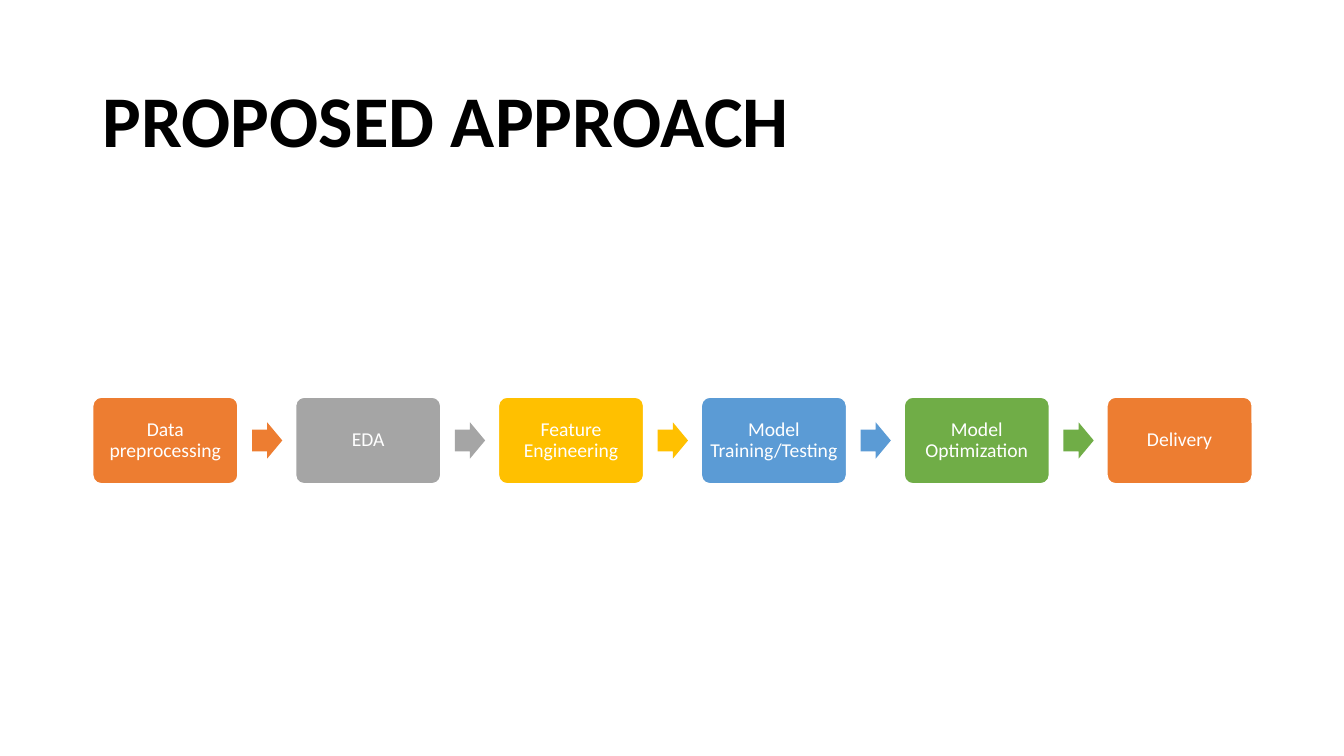
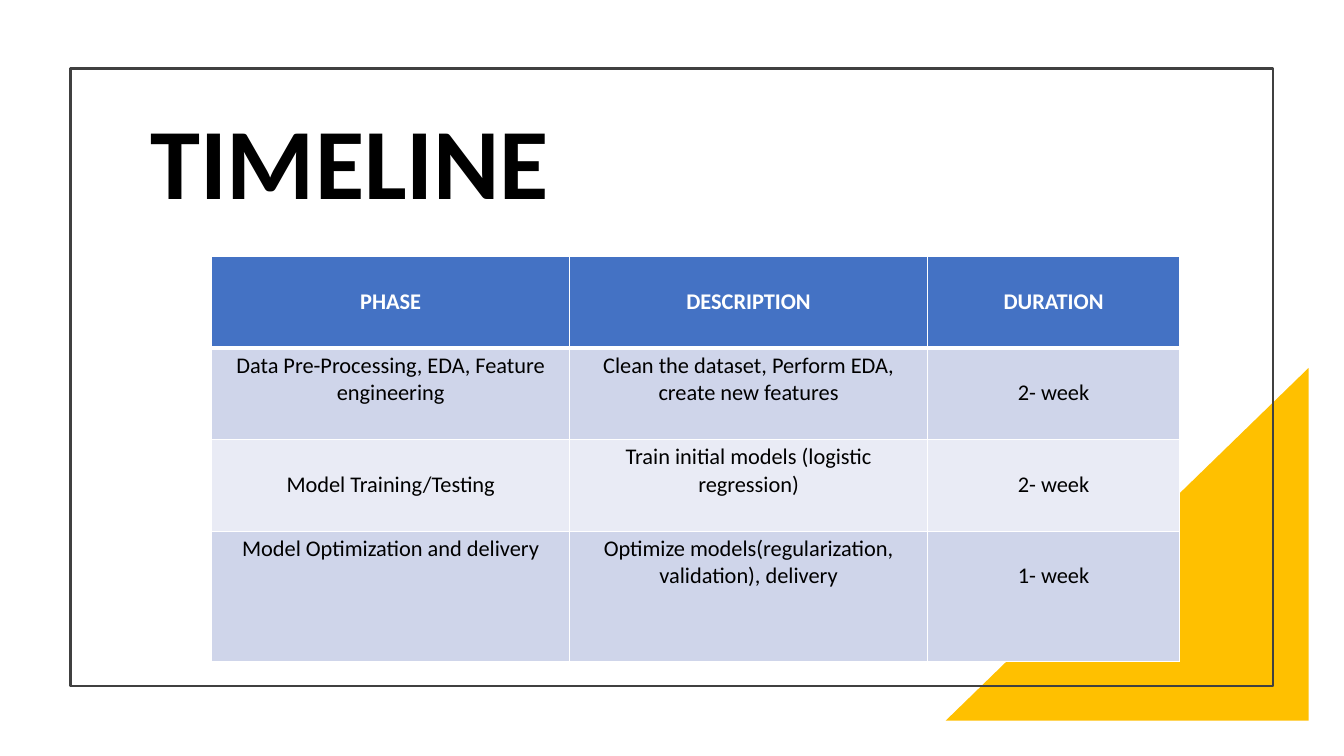
from lxml import etree
from pptx import Presentation
from pptx import util as u
from pptx.dml.color import RGBColor
from pptx.enum import shapes, text
from pptx.oxml.ns import qn

FONT = "Calibri"
WHITE, BLACK, YELLOW = "FFFFFF", "000000", "FFC000"
HEADER_FILL, BAND_FILLS = "4472C4", ("CFD5EA", "E9EBF5")

STEPS = [
    ("Data preprocessing", "ED7D31"),
    ("EDA", "A5A5A5"),
    ("Feature Engineering", YELLOW),
    ("Model Training/Testing", "5B9BD5"),
    ("Model Optimization", "70AD47"),
    ("Delivery", "ED7D31"),
]
HEADERS = ("PHASE", "DESCRIPTION", "DURATION")
PHASES = [
    ("Data Pre-Processing, EDA, Feature engineering",
     "Clean the dataset, Perform EDA, create new features", "2- week"),
    ("Model Training/Testing",
     "Train initial models (logistic regression)", "2- week"),
    ("Model Optimization and delivery",
     "Optimize models(regularization, validation), delivery", "1- week"),
]
LOWERED = {"Model Training/Testing", "2- week", "1- week"}
COL_WIDTHS = (3.55, 3.55, 2.5)
ROW_HEIGHTS = (0.91, 0.91, 0.91, 1.29)
CELL_TOP, LINE_HEIGHT = 0.04, 0.27


def rgb(color):
    return RGBColor.from_string(color)


def write(tf, words, size, color=WHITE, bold=False, align=text.PP_ALIGN.CENTER, spacing=0.9):
    p = tf.paragraphs[0]
    p.alignment = align
    p.line_spacing = spacing
    r = p.add_run()
    r.text = words
    r.font.name = FONT
    r.font.size = u.Pt(size)
    r.font.bold = bold
    r.font.color.rgb = rgb(color)


def new_slide(prs, title, size, box):
    s = prs.slides.add_slide(prs.slide_layouts[5])
    sp = s.shapes.title
    sp.left, sp.top, sp.width, sp.height = map(u.Inches, box)
    tf = sp.text_frame
    tf.word_wrap = True
    tf.auto_size = text.MSO_AUTO_SIZE.NONE
    tf.vertical_anchor = text.MSO_ANCHOR.MIDDLE
    write(tf, title, size, BLACK, bold=True, align=text.PP_ALIGN.LEFT)
    return s


def add_shape(s, kind, box, fill=None, line=None, weight=1):
    sp = s.shapes.add_shape(kind, *map(u.Inches, box))
    sp.shadow.inherit = False
    if fill:
        sp.fill.solid()
        sp.fill.fore_color.rgb = rgb(fill)
    else:
        sp.fill.background()
    if line:
        sp.line.color.rgb = rgb(line)
        sp.line.width = u.Pt(weight)
    else:
        sp.line.fill.background()
    return sp


def set_borders(cell, weights):
    tcPr = cell._tc.get_or_add_tcPr()
    for i, (side, weight) in enumerate(weights.items()):
        ln = etree.Element(qn("a:ln" + side), w=str(u.Pt(weight)))
        fill = etree.SubElement(ln, qn("a:solidFill"))
        etree.SubElement(fill, qn("a:srgbClr"), val=WHITE)
        tcPr.insert(i, ln)


def add_process(s):
    left, top, total, width, height = 0.92, 3.94, 11.5, 1.44, 0.86
    arrow_gap, arrow_w, arrow_h = 0.14, 0.3, 0.36
    pitch = (total - width) / (len(STEPS) - 1)
    for i, (words, color) in enumerate(STEPS):
        x = left + i * pitch
        sp = add_shape(s, shapes.MSO_SHAPE.ROUNDED_RECTANGLE,
                       (x, top, width, height), color, WHITE)
        sp.adjustments[0] = 0.1
        tf = sp.text_frame
        tf.word_wrap = True
        tf.vertical_anchor = text.MSO_ANCHOR.MIDDLE
        tf.margin_left = tf.margin_right = tf.margin_top = tf.margin_bottom = u.Inches(0.06)
        write(tf, words, 14)
        if i < len(STEPS) - 1:
            arrow = add_shape(s, shapes.MSO_SHAPE.RIGHT_ARROW,
                              (x + width + arrow_gap, top + (height - arrow_h) / 2,
                               arrow_w, arrow_h), color)
            arrow.adjustments[0] = 0.6
            arrow.adjustments[1] = 0.5


def add_timeline(s):
    rows = [HEADERS] + PHASES
    table = s.shapes.add_table(
        len(rows), len(HEADERS), u.Inches(2.1), u.Inches(2.54),
        u.Inches(sum(COL_WIDTHS)), u.Inches(sum(ROW_HEIGHTS))).table
    for col, width in zip(table.columns, COL_WIDTHS):
        col.width = u.Inches(width)
    for row, height in zip(table.rows, ROW_HEIGHTS):
        row.height = u.Inches(height)
    for i, row in enumerate(rows):
        header = i == 0
        for j, words in enumerate(row):
            cell = table.cell(i, j)
            cell.fill.solid()
            cell.fill.fore_color.rgb = rgb(HEADER_FILL if header else BAND_FILLS[(i - 1) % 2])
            cell.margin_left = cell.margin_right = u.Inches(0.07)
            cell.margin_top = u.Inches(CELL_TOP + LINE_HEIGHT * (words in LOWERED))
            cell.margin_bottom = u.Inches(CELL_TOP)
            cell.vertical_anchor = text.MSO_ANCHOR.MIDDLE if header else text.MSO_ANCHOR.TOP
            write(cell.text_frame, words, 16, WHITE if header else BLACK,
                  bold=header, spacing=1.0)
            set_borders(cell, {"L": 1, "R": 1, "T": 3 if i == 1 else 1, "B": 3 if header else 1})


def main():
    prs = Presentation()
    prs.slide_width, prs.slide_height = u.Inches(13.33), u.Inches(7.5)

    s = new_slide(prs, "PROPOSED APPROACH", 52, (0.92, 0.61, 11.5, 1.24))
    add_process(s)

    s = new_slide(prs, "TIMELINE", 72, (1.39, 0.77, 8.83, 1.77))
    corner = add_shape(s, shapes.MSO_SHAPE.RIGHT_TRIANGLE, (9.38, 3.65, 3.6, 3.5), YELLOW)
    corner._element.spPr.get_or_add_xfrm().set("flipH", "1")
    add_shape(s, shapes.MSO_SHAPE.RECTANGLE, (0.7, 0.68, 11.93, 6.13), line="404040", weight=1.5)
    add_timeline(s)

    prs.save("out.pptx")


if __name__ == "__main__":
    main()
